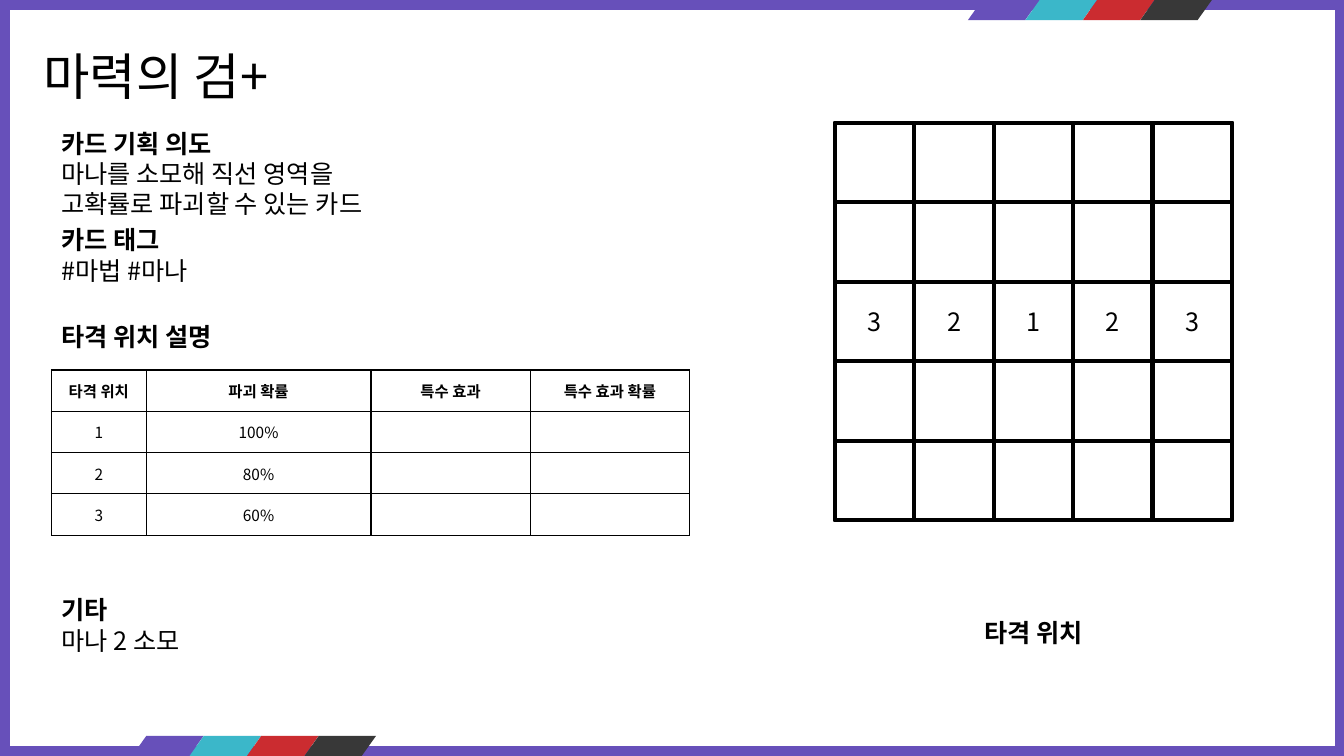
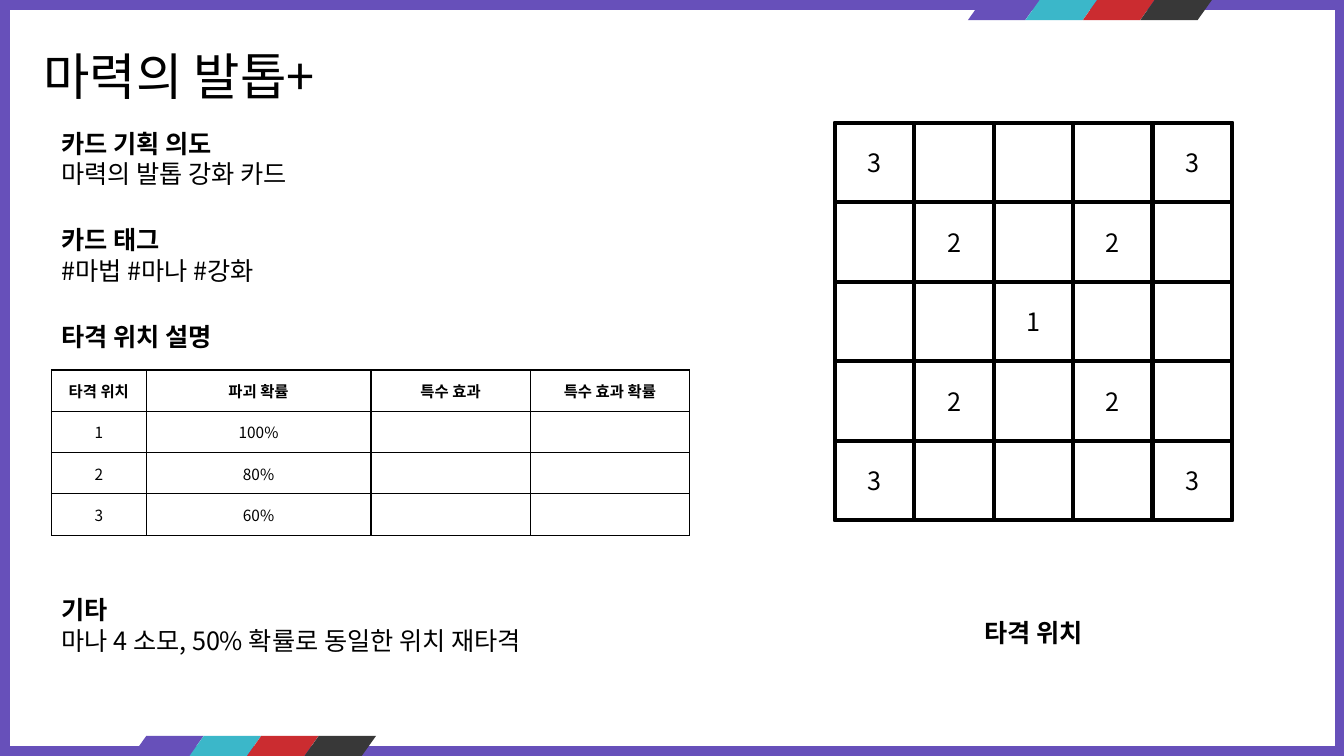
"""Build the two card design slides."""
from dataclasses import dataclass

from lxml import etree
from pptx import Presentation
from pptx.dml.color import RGBColor
from pptx.enum.shapes import MSO_SHAPE
from pptx.enum.text import MSO_ANCHOR, MSO_AUTO_SIZE, PP_ALIGN
from pptx.oxml.ns import qn
from pptx.util import Inches, Pt

RECTANGLE = MSO_SHAPE.RECTANGLE
SLANTED_BAND = MSO_SHAPE.FLOWCHART_DATA
LEFT, CENTER = PP_ALIGN.LEFT, PP_ALIGN.CENTER
TOP, MIDDLE = MSO_ANCHOR.TOP, MSO_ANCHOR.MIDDLE
GROW = MSO_AUTO_SIZE.SHAPE_TO_FIT_TEXT
TITLE_ONLY = 5


@dataclass(frozen=True)
class Theme:
    """Colours, font, type sizes and line widths of the deck."""
    frame: str = "6750BA"
    paper: str = "FFFFFF"
    ink: str = "000000"
    bands: tuple = ("6750BA", "3BB7C9", "CB2C30", "383838")
    font: str = "Noto Sans CJK KR"
    title: int = 36
    body: int = 18
    table: int = 11
    board_line: int = 3
    table_line: int = 1


THEME = Theme()
MARGIN = 0.51
SECTION_WIDTH = 7.91
BOARD_LEFT, BOARD_TOP, BOARD_SIZE = 8.28, 1.22, 3.94
COLUMN_WIDTHS = (0.94, 2.23, 1.58, 1.58)
ROW_HEIGHT = 0.41
CHANCES = (
    ("타격 위치", "파괴 확률", "특수 효과", "특수 효과 확률"),
    ("1", "100%", "", ""),
    ("2", "80%", "", ""),
    ("3", "60%", "", ""),
)
CARDS = (
    {
        "title": "마력의 검+",
        "intent": ("마나를 소모해 직선 영역을", "고확률로 파괴할 수 있는 카드"),
        "tags": "#마법 #마나",
        "extra": "마나 2 소모",
        "hits": (".....", ".....", "32123", ".....", "....."),
    },
    {
        "title": "마력의 발톱+",
        "intent": ("마력의 발톱 강화 카드",),
        "tags": "#마법 #마나 #강화",
        "extra": "마나 4 소모, 50% 확률로 동일한 위치 재타격",
        "hits": ("3...3", ".2.2.", "..1..", ".2.2.", "3...3"),
    },
)


def write_text(paragraph, text, size=THEME.body, bold=False, align=LEFT):
    """Write one formatted run into a paragraph."""
    paragraph.alignment = align
    run = paragraph.add_run()
    run.text = text
    run.font.size = Pt(size)
    run.font.bold = bold
    run.font.color.rgb = RGBColor.from_string(THEME.ink)
    run.font.name = THEME.font
    east_asian = etree.SubElement(run._r.get_or_add_rPr(), qn("a:ea"))
    east_asian.set("typeface", THEME.font)


def add_block(slide, kind, left, top, width, height, fill, line=None):
    """Add a flat filled shape with an optional ink outline."""
    block = slide.shapes.add_shape(
        kind, Inches(left), Inches(top), Inches(width), Inches(height))
    block.shadow.inherit = False
    block.fill.solid()
    block.fill.fore_color.rgb = RGBColor.from_string(fill)
    if line:
        block.line.color.rgb = RGBColor.from_string(THEME.ink)
        block.line.width = Pt(line)
    else:
        block.line.fill.background()
    return block


def decorate_layout(layout, slide):
    """Give the layout its frame, paper and slanted bands, drawn via a slide."""
    layout.background.fill.solid()
    layout.background.fill.fore_color.rgb = RGBColor.from_string(THEME.frame)
    decor = [add_block(slide, RECTANGLE, 0.1, 0.1, 13.14, 7.3, THEME.paper)]
    for left, top in ((9.6, 0), (1.31, 7.3)):
        for index, colour in enumerate(THEME.bands):
            decor.append(add_block(
                slide, SLANTED_BAND, left + index * 0.57, top, 0.71, 0.2, colour))
    for position, block in enumerate(decor, start=2):
        layout.shapes.element.insert(position, block.element)


def set_title(slide, text):
    """Place and fill the title placeholder."""
    title = slide.shapes.title
    title.left, title.top = Inches(0.33), Inches(0.4)
    title.width, title.height = Inches(6.43), Inches(0.71)
    frame = title.text_frame
    frame.auto_size = GROW
    frame.vertical_anchor = TOP
    write_text(frame.paragraphs[0], text, size=THEME.title)


def add_section(slide, top, heading, *lines, left=MARGIN, width=SECTION_WIDTH,
                align=LEFT):
    """Add a bold heading with plain lines below it."""
    height = 0.4 + 0.31 * len(lines)
    section = slide.shapes.add_textbox(
        Inches(left), Inches(top), Inches(width), Inches(height))
    frame = section.text_frame
    frame.word_wrap = True
    frame.auto_size = GROW
    write_text(frame.paragraphs[0], heading, bold=True, align=align)
    for line in lines:
        write_text(frame.add_paragraph(), line, align=align)


def add_board(slide, hits):
    """Draw the square board and number the cells that are hit."""
    add_block(slide, RECTANGLE, BOARD_LEFT, BOARD_TOP, BOARD_SIZE, BOARD_SIZE,
              THEME.paper, THEME.board_line)
    side = BOARD_SIZE / len(hits)
    for row, marks in enumerate(hits):
        for column, mark in enumerate(marks):
            square = add_block(
                slide, RECTANGLE, BOARD_LEFT + column * side,
                BOARD_TOP + row * side, side, side, THEME.paper, THEME.board_line)
            if mark != ".":
                square.text_frame.vertical_anchor = MIDDLE
                write_text(square.text_frame.paragraphs[0], mark, align=CENTER)


def set_borders(cell):
    """Outline a table cell on all four sides."""
    properties = cell._tc.get_or_add_tcPr()
    for position, side in enumerate(("lnL", "lnR", "lnT", "lnB")):
        border = etree.Element(qn(f"a:{side}"), w=str(Pt(THEME.table_line)))
        fill = etree.SubElement(border, qn("a:solidFill"))
        etree.SubElement(fill, qn("a:srgbClr"), val=THEME.ink)
        properties.insert(position, border)


def add_chance_table(slide):
    """Add the table of destruction chances."""
    table = slide.shapes.add_table(
        len(CHANCES), len(COLUMN_WIDTHS), Inches(MARGIN), Inches(3.67),
        Inches(sum(COLUMN_WIDTHS)), Inches(ROW_HEIGHT * len(CHANCES))).table
    for column, width in zip(table.columns, COLUMN_WIDTHS):
        column.width = Inches(width)
    for row, values in enumerate(CHANCES):
        table.rows[row].height = Inches(ROW_HEIGHT)
        for column, value in enumerate(values):
            cell = table.cell(row, column)
            cell.fill.solid()
            cell.fill.fore_color.rgb = RGBColor.from_string(THEME.paper)
            cell.margin_left = cell.margin_right = 0
            cell.margin_top = cell.margin_bottom = 0
            cell.vertical_anchor = MIDDLE
            set_borders(cell)
            if value:
                write_text(cell.text_frame.paragraphs[0], value,
                           size=THEME.table, bold=row == 0, align=CENTER)


def fill_card(slide, card):
    """Lay out one card description."""
    set_title(slide, card["title"])
    add_section(slide, 1.22, "카드 기획 의도", *card["intent"], width=12.19)
    add_board(slide, card["hits"])
    add_section(slide, 2.18, "카드 태그", card["tags"])
    add_section(slide, 3.14, "타격 위치 설명")
    add_chance_table(slide)
    add_section(slide, 5.85, "기타", card["extra"])
    add_section(slide, 6.08, "타격 위치", left=9.23, width=2.04, align=CENTER)


def main():
    """Build and save the deck."""
    deck = Presentation()
    deck.slide_width, deck.slide_height = Inches(13.33), Inches(7.5)
    layout = deck.slide_layouts[TITLE_ONLY]
    slides = [deck.slides.add_slide(layout) for _ in CARDS]
    decorate_layout(layout, slides[0])
    for slide, card in zip(slides, CARDS):
        fill_card(slide, card)
    deck.save("out.pptx")


if __name__ == "__main__":
    main()
